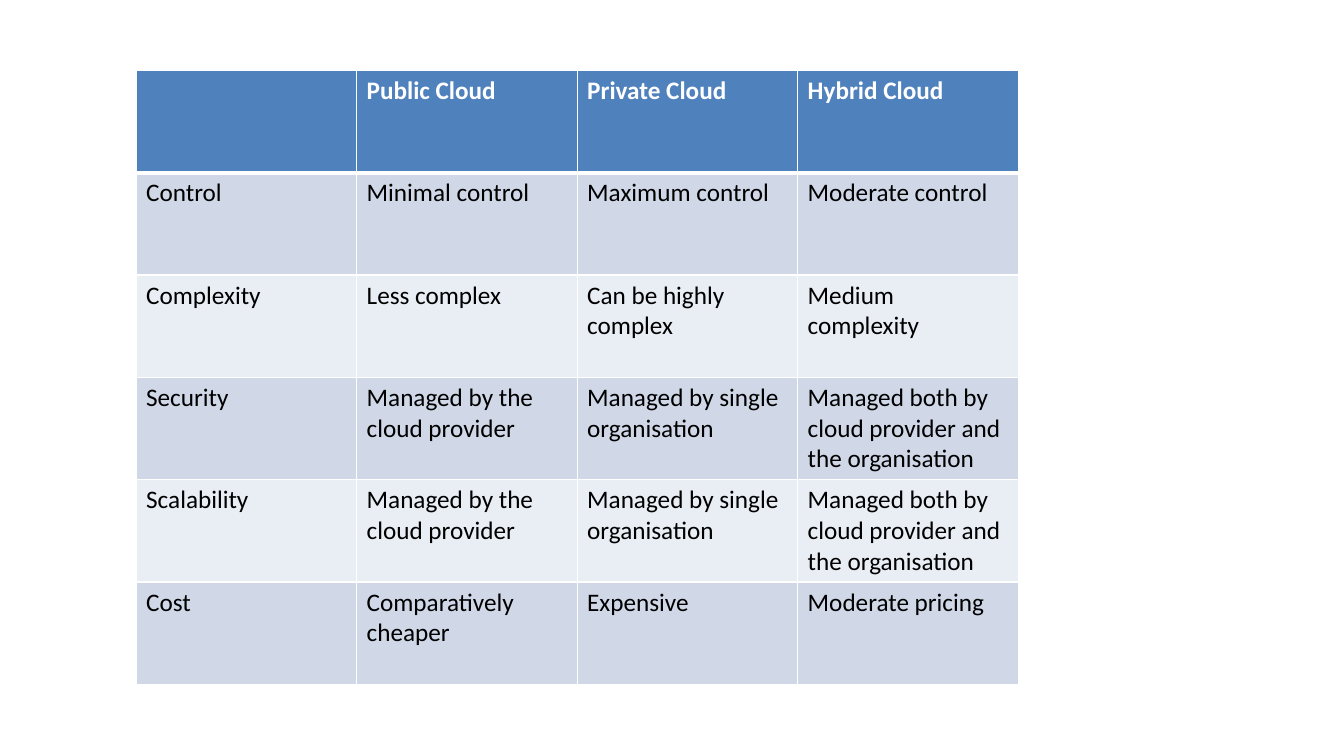
import pptx
import pptx.dml.color
import pptx.oxml
import pptx.oxml.ns
import pptx.util
from pptx.util import Cm

COLOURS = {
    "header": "4F81BD",
    "odd_row": "D0D8E8",
    "even_row": "E9EDF4",
    "header_text": "FFFFFF",
    "body_text": "000000",
    "border": "FFFFFF",
}

COMPARISON = [
    ["", "Public Cloud", "Private Cloud", "Hybrid Cloud"],
    ["Control", "Minimal control", "Maximum control", "Moderate control"],
    ["Complexity", "Less complex", "Can be highly complex", "Medium complexity"],
    ["Security", "Managed by the cloud provider", "Managed by single organisation",
     "Managed both by cloud provider and the organisation"],
    ["Scalability", "Managed by the cloud provider", "Managed by single organisation",
     "Managed both by cloud provider and the organisation"],
    ["Cost", "Comparatively cheaper", "Expensive", "Moderate pricing"],
]


def rgb(name):
    return pptx.dml.color.RGBColor.from_string(COLOURS[name])


def add_borders(cell, widths):
    """Draw solid cell edges; widths maps L, R, T, B to points, in that order."""
    for side, points in widths.items():
        cell._tc.get_or_add_tcPr().append(pptx.oxml.parse_xml(
            f'<a:ln{side} {pptx.oxml.ns.nsdecls("a")} w="{pptx.util.Pt(points)}">'
            f'<a:solidFill><a:srgbClr val="{COLOURS["border"]}"/></a:solidFill>'
            f'</a:ln{side}>'))


deck = pptx.Presentation()
deck.slide_width, deck.slide_height = Cm(33.87), Cm(19.05)
slide = deck.slides.add_slide(deck.slide_layouts[6])

cloud_table = slide.shapes.add_table(
    len(COMPARISON), len(COMPARISON[0]),
    Cm(3.43), Cm(1.78), Cm(22.23), Cm(15.45)).table

for row, entries in enumerate(COMPARISON):
    is_header = row == 0
    band = "header" if is_header else "odd_row" if row % 2 else "even_row"
    font_format = {"name": "Calibri", "size": pptx.util.Pt(18), "bold": is_header}
    edges = {"L": 1, "R": 1, "T": 3 if row == 1 else 1, "B": 3 if is_header else 1}
    for column, entry in enumerate(entries):
        cell = cloud_table.cell(row, column)
        add_borders(cell, edges)
        cell.fill.solid()
        cell.fill.fore_color.rgb = rgb(band)
        if not entry:
            continue
        cell.text = entry
        font = cell.text_frame.paragraphs[0].runs[0].font
        for attribute, value in font_format.items():
            setattr(font, attribute, value)
        font.color.rgb = rgb("header_text" if is_header else "body_text")

deck.save("out.pptx")
